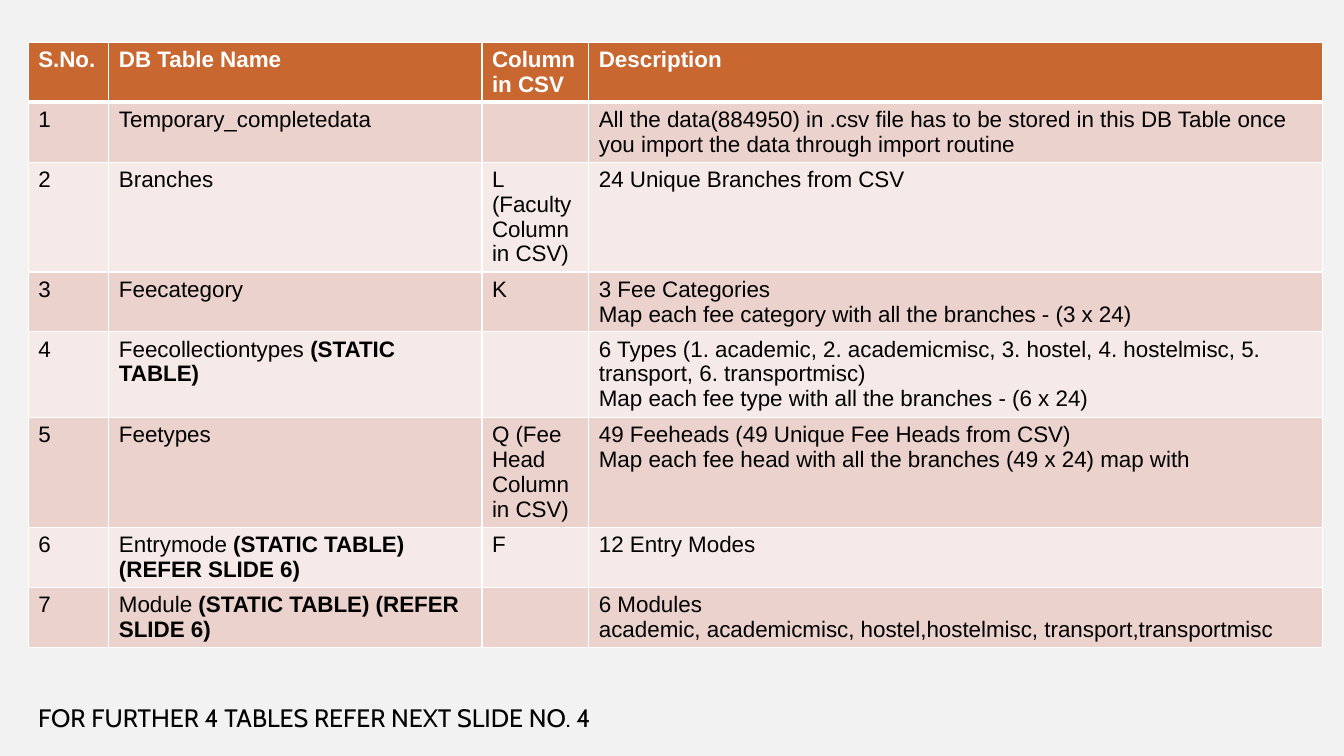
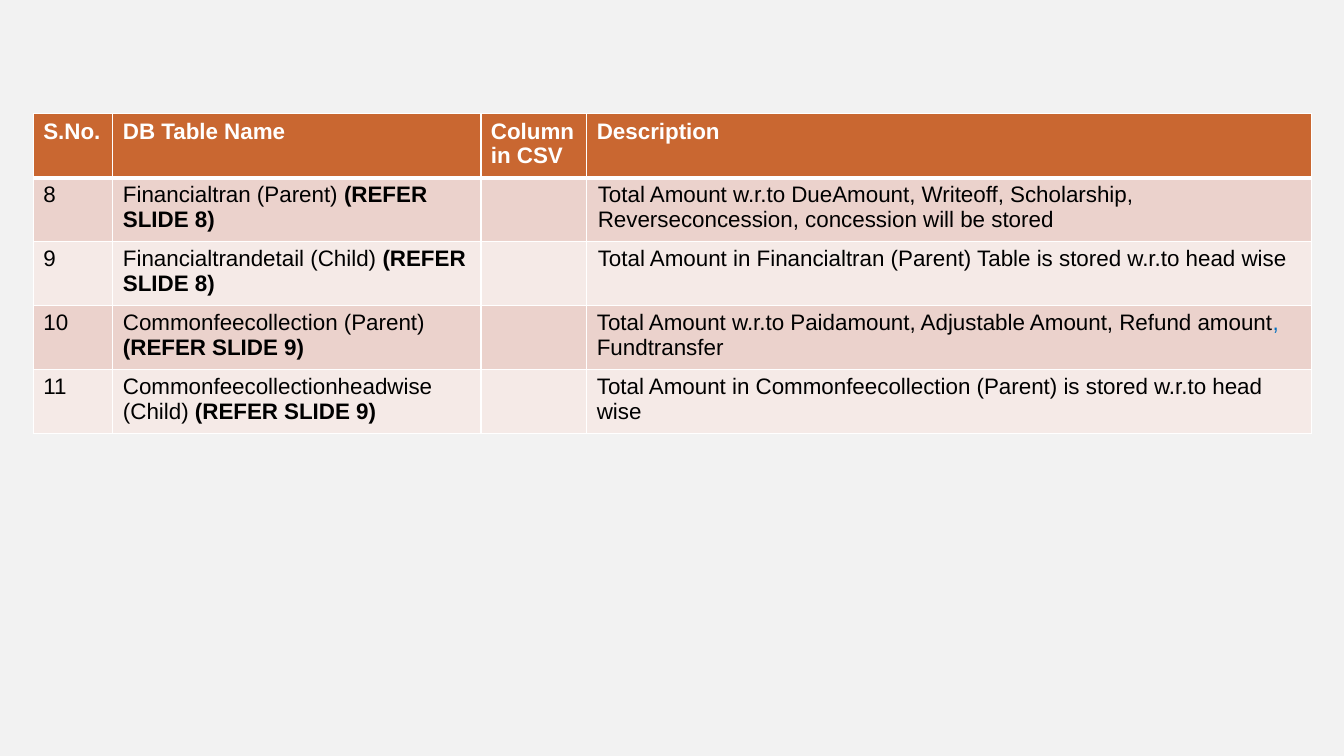
"""Builds two slides that list the database tables of a CSV import."""
import collections

import lxml.etree
import pptx
import pptx.dml.color
import pptx.enum.text
import pptx.oxml.ns
import pptx.util

Inches = pptx.util.Inches
Pt = pptx.util.Pt
RGBColor = pptx.dml.color.RGBColor
qn = pptx.oxml.ns.qn

GREY = RGBColor(0xF2, 0xF2, 0xF2)
RUST = RGBColor(0xC9, 0x67, 0x31)
ROSE = RGBColor(0xEB, 0xD2, 0xCC)
PALE = RGBColor(0xF5, 0xEA, 0xE7)
WHITE = RGBColor(0xFF, 0xFF, 0xFF)
BLACK = RGBColor(0x00, 0x00, 0x00)
BLUE = RGBColor(0x00, 0x6F, 0xC0)

Part = collections.namedtuple("Part", "text bold color", defaults=(True, BLACK))

HEAD = ("S.No.", "DB Table Name", "Column in CSV", "Description")
MODES = Part("(STATIC TABLE) (REFER SLIDE 6)")
TRANS = Part("(REFER SLIDE 8)")
FEES = Part("(REFER SLIDE 9)")

SETUP = [
    ("1", "Temporary_completedata", "",
     "All the data(884950) in .csv file has to be stored in this DB Table once "
     "you import the data through import routine"),
    ("2", "Branches", "L (Faculty Column in CSV)", "24 Unique Branches from CSV"),
    ("3", "Feecategory", "K",
     "3 Fee Categories\nMap each fee category with all the branches - (3 x 24)"),
    ("4", ("Feecollectiontypes ", Part("(STATIC TABLE)")), "",
     "6 Types (1. academic, 2. academicmisc, 3. hostel, 4. hostelmisc, "
     "5. transport, 6. transportmisc)\n"
     "Map each fee type with all the branches - (6 x 24)"),
    ("5", "Feetypes", "Q (Fee Head Column in CSV)",
     "49 Feeheads (49 Unique Fee Heads from CSV)\n"
     "Map each fee head with all the branches (49 x 24) map with"),
    ("6", ("Entrymode ", MODES), "F", "12 Entry Modes"),
    ("7", ("Module ", MODES), "",
     "6 Modules\n"
     "academic, academicmisc, hostel,hostelmisc, transport,transportmisc"),
]

MONEY = [
    ("8", ("Financialtran (Parent) ", TRANS), "",
     "Total Amount w.r.to DueAmount, Writeoff, Scholarship, "
     "Reverseconcession, concession will be stored"),
    ("9", ("Financialtrandetail (Child) ", TRANS), "",
     "Total Amount in Financialtran (Parent) Table is stored w.r.to head wise"),
    ("10", ("Commonfeecollection (Parent) ", FEES), "",
     ("Total Amount w.r.to Paidamount, Adjustable Amount, Refund amount",
      Part(", ", False, BLUE), Part("Fundtransfer", False))),
    ("11", ("Commonfeecollectionheadwise (Child) ", FEES), "",
     "Total Amount in Commonfeecollection (Parent) is stored w.r.to head wise"),
]


class Deck:
    def __init__(self):
        self.show = pptx.Presentation()
        self.show.slide_width = Inches(13.33)
        self.show.slide_height = Inches(7.5)
        self.slide = None

    def page(self):
        self.slide = self.show.slides.add_slide(self.show.slide_layouts[6])
        back = self.slide.background.fill
        back.solid()
        back.fore_color.rgb = GREY

    def font(self, font, face, size, color, bold=False):
        font.name = face
        font.size = Pt(size)
        font.bold = bold
        font.color.rgb = color

    def edge(self, cell, side, width):
        props = cell._tc.get_or_add_tcPr()
        line = lxml.etree.SubElement(props, qn("a:ln" + side), w=str(Pt(width)))
        fill = lxml.etree.SubElement(line, qn("a:solidFill"))
        lxml.etree.SubElement(fill, qn("a:srgbClr"), val=str(WHITE))

    def cell(self, cell, value, row):
        top = row == 0
        widths = {"L": 1, "R": 1, "T": 3 if row == 1 else 1, "B": 3 if top else 1}
        for side, width in widths.items():
            self.edge(cell, side, width)
        cell.fill.solid()
        cell.fill.fore_color.rgb = RUST if top else (PALE, ROSE)[row % 2]
        text, *parts = (value,) if isinstance(value, str) else value
        cell.text_frame.text = text
        color = WHITE if top else BLACK
        for para in cell.text_frame.paragraphs:
            self.font(para.font, "Arial", 16, color, top)
            for run in para.runs:
                self.font(run.font, "Arial", 16, color, top)
        for part in parts:
            run = para.add_run()
            run.text = part.text
            self.font(run.font, "Arial", 16, part.color, part.bold)

    def table(self, left, top, widths, heights, rows):
        rows = [HEAD] + rows
        frame = self.slide.shapes.add_table(
            len(rows), len(widths), Inches(left), Inches(top),
            Inches(sum(widths)), Inches(sum(heights)))
        table = frame.table
        for col, width in zip(table.columns, widths):
            col.width = Inches(width)
        for line, height in zip(table.rows, heights):
            line.height = Inches(height)
        for row, values in enumerate(rows):
            for col, value in enumerate(values):
                self.cell(table.cell(row, col), value, row)
        return table

    def note(self, left, top, width, height, text):
        box = self.slide.shapes.add_textbox(
            Inches(left), Inches(top), Inches(width), Inches(height))
        frame = box.text_frame
        frame.word_wrap = True
        frame.auto_size = pptx.enum.text.MSO_AUTO_SIZE.SHAPE_TO_FIT_TEXT
        frame.text = text
        self.font(frame.paragraphs[0].runs[0].font, "Cabin", 18, BLACK)


def main():
    deck = Deck()
    deck.page()
    deck.table(0.28, 0.42, (0.8, 3.7, 1.06, 7.28),
               (0.59, 0.59, 1.09, 0.59, 0.85, 1.09, 0.59, 0.59), SETUP)
    deck.note(0.28, 6.92, 10.08, 0.4, "FOR FURTHER 4 TABLES REFER NEXT SLIDE NO. 4")

    deck.page()
    table = deck.table(0.33, 1.13, (0.79, 3.65, 1.05, 7.19), [0.61] * 5, MONEY)
    for row in (1, 2):
        table.cell(row, 3).margin_left = Inches(0.11)
    deck.show.save("out.pptx")


if __name__ == "__main__":
    main()
